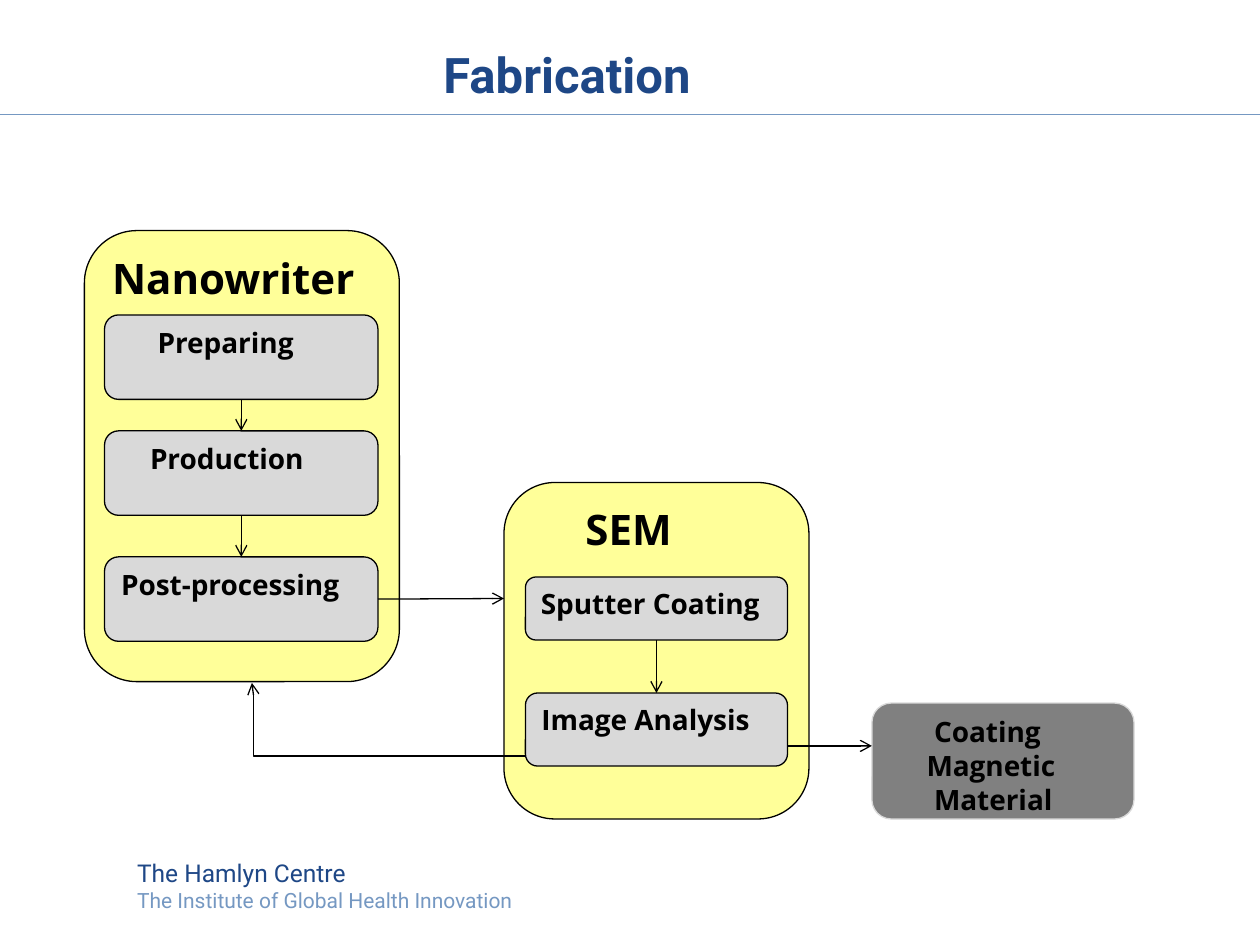
from lxml import etree
from pptx import Presentation
from pptx.dml.color import RGBColor
from pptx.enum.shapes import MSO_CONNECTOR, MSO_SHAPE
from pptx.enum.text import MSO_ANCHOR
from pptx.oxml.ns import qn
from pptx.util import Inches, Pt

ROUNDED = MSO_SHAPE.ROUNDED_RECTANGLE
STRAIGHT = MSO_CONNECTOR.STRAIGHT
ELBOW = MSO_CONNECTOR.ELBOW
MIDDLE = MSO_ANCHOR.MIDDLE
TOP = MSO_ANCHOR.TOP
BOTTOM_SITE, TOP_SITE, RIGHT_SITE = 2, 0, 3

BLACK, YELLOW, GREY, DARK_GREY = "000000", "FFFF99", "D9D9D9", "808080"
NAVY, SKY = "1E4786", "7598C2"

TITLE = ("Fabrication", 28, NAVY, True)
FOOTER = [
    ("The Hamlyn Centre", 14, NAVY, False),
    ("The Institute of Global Health Innovation", 12, SKY, False),
]
# name: left, top, width, height, fill, line, text size, lines with indents
PANELS = [
    (0.67, 1.83, 2.5, 3.58, YELLOW, BLACK, 24, [("Nanowriter", 0)]),
    (4, 3.83, 2.42, 2.67, YELLOW, BLACK, 24, [("SEM", 0.43)]),
    (6.92, 5.58, 2.08, 0.92, DARK_GREY, GREY, 16,
     [("Coating", 0.35), ("Magnetic", 0.29), ("Material", 0.35)]),
]
STEP_COLUMNS = [
    (0.83, 2.17, [("Preparing", 0.29, 2.5, 0.67),
                  ("Production", 0.23, 3.42, 0.67),
                  ("Post-processing", 0, 4.42, 0.67)]),
    (4.17, 2.08, [("Sputter Coating", 0, 4.58, 0.5),
                  ("Image Analysis", 0, 5.5, 0.58)]),
]


def color(value):
    return RGBColor.from_string(value)


def style_font(paragraph, name, size, value, bold):
    font = paragraph.font
    font.name, font.size, font.bold = name, Pt(size), bold
    font.color.rgb = color(value)


def add_box(slide, left, top, width, height, fill, line, size, lines):
    shape = slide.shapes.add_shape(
        ROUNDED, Inches(left), Inches(top), Inches(width), Inches(height))
    shape.shadow.inherit = False
    shape.fill.solid()
    shape.fill.fore_color.rgb = color(fill)
    shape.line.color.rgb = color(line)
    shape.line.width = Pt(0.75)
    frame = shape.text_frame
    frame.word_wrap = True
    frame.vertical_anchor = TOP
    frame.text = "\n".join(text for text, _ in lines)
    for paragraph, (_, indent) in zip(frame.paragraphs, lines):
        properties = paragraph._p.get_or_add_pPr()
        properties.set("marL", str(Inches(indent)))
        properties.set("algn", "l")
        style_font(paragraph, "Open Sans", size, BLACK, True)
    return shape


def add_text(slide, left, top, width, height, lines):
    frame = slide.shapes.add_textbox(
        Inches(left), Inches(top), Inches(width), Inches(height)).text_frame
    frame.text = "\n".join(line[0] for line in lines)
    for paragraph, (_, size, value, bold) in zip(frame.paragraphs, lines):
        style_font(paragraph, "Roboto", size, value, bold)
    return frame


def add_line(slide, start, end, value=BLACK, kind=STRAIGHT, arrow=True):
    points = [Inches(number) for number in (*start, *end)]
    connector = slide.shapes.add_connector(kind, *points)
    connector.line.color.rgb = color(value)
    connector.line.width = Pt(0.75)
    if arrow:
        outline = connector.line._get_or_add_ln()
        etree.SubElement(outline, qn("a:tailEnd"), type="arrow")
    etree.SubElement(connector._element.spPr, qn("a:effectLst"))
    return connector


presentation = Presentation()
presentation.slide_width, presentation.slide_height = Inches(10), Inches(7.5)
slide = presentation.slides.add_slide(presentation.slide_layouts[6])

add_line(slide, (0, 0.91), (10, 0.91), SKY, arrow=False)
add_text(slide, 0.99, 6.76, 3.26, 0.54, FOOTER).word_wrap = False
title_frame = add_text(slide, 0.25, 0.25, 9, 0.67, [TITLE])
title_frame.word_wrap = True
title_frame.vertical_anchor = MIDDLE
title_frame.margin_left = Inches(3.27)

for panel in PANELS:
    add_box(slide, *panel)

columns = []
for left, width, steps in STEP_COLUMNS:
    columns.append([
        add_box(slide, left, top, width, height, GREY, BLACK, 16, [(text, indent)])
        for text, indent, top, height in steps])

for column, (left, width, steps) in zip(columns, STEP_COLUMNS):
    center = left + width / 2
    for index in range(len(steps) - 1):
        _, _, top, height = steps[index]
        arrow = add_line(slide, (center, top + height), (center, steps[index + 1][2]))
        arrow.begin_connect(column[index], BOTTOM_SITE)
        arrow.end_connect(column[index + 1], TOP_SITE)

to_sem = add_line(slide, (3, 4.75), (4, 4.75))
to_sem.begin_connect(columns[0][-1], RIGHT_SITE)
add_line(slide, (6.25, 5.92), (6.92, 5.92))
feedback = add_line(slide, (4.17, 6), (2, 5.42), kind=ELBOW)
adjustments = feedback._element.spPr.find(qn("a:prstGeom")).find(qn("a:avLst"))
etree.SubElement(adjustments, qn("a:gd"), name="adj1", fmla="val 99500")

presentation.save("out.pptx")
